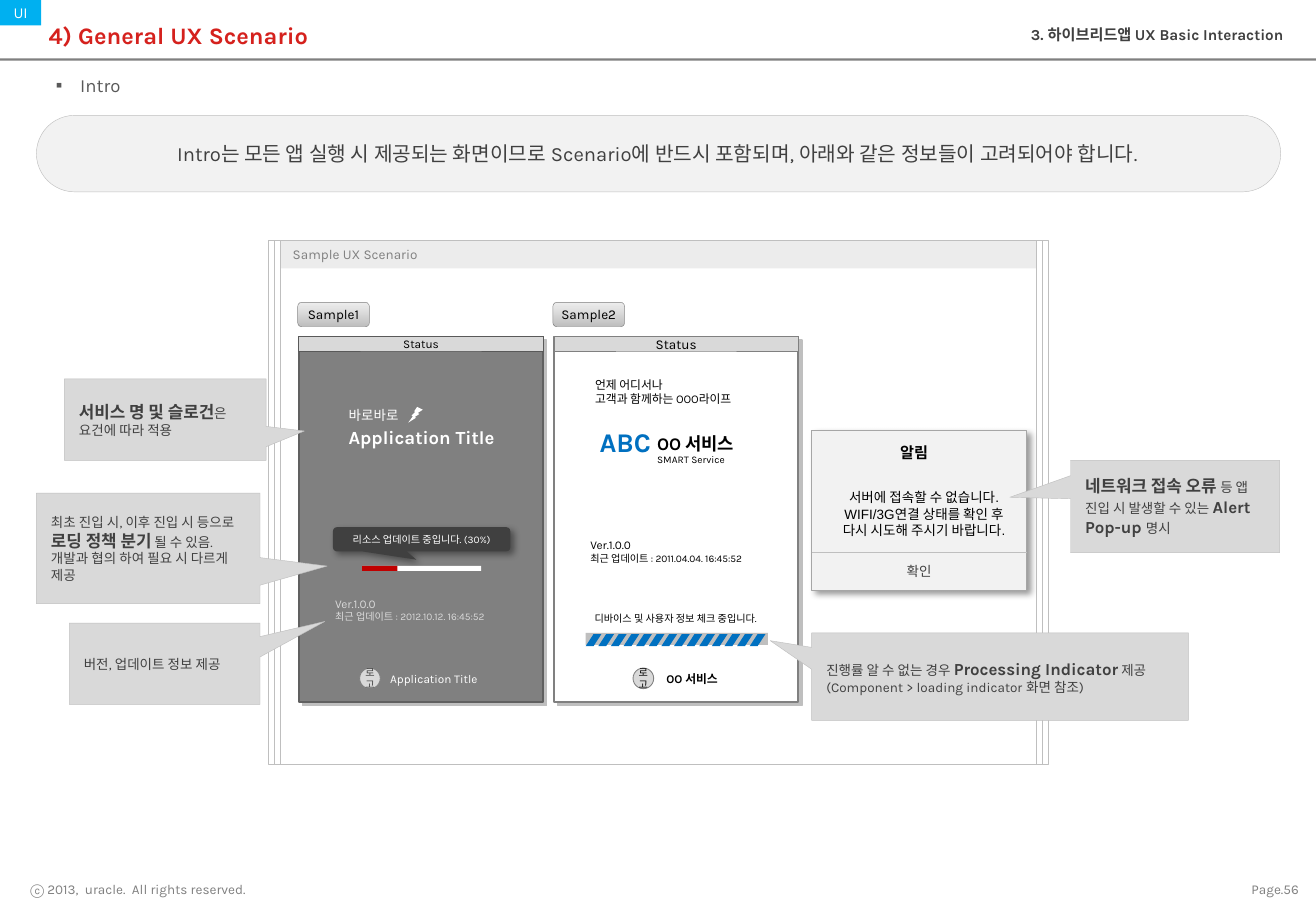
from dataclasses import dataclass

from lxml import etree
from pptx import Presentation
from pptx.dml.color import RGBColor
from pptx.enum.shapes import MSO_CONNECTOR, MSO_SHAPE
from pptx.enum.text import MSO_ANCHOR, MSO_AUTO_SIZE, PP_ALIGN
from pptx.oxml.ns import qn
from pptx.util import Inches, Pt

LEFT, CENTER, RIGHT = PP_ALIGN.LEFT, PP_ALIGN.CENTER, PP_ALIGN.RIGHT
TOP, MIDDLE = MSO_ANCHOR.TOP, MSO_ANCHOR.MIDDLE
RECTANGLE, ROUNDED, OVAL = MSO_SHAPE.RECTANGLE, MSO_SHAPE.ROUNDED_RECTANGLE, MSO_SHAPE.OVAL
CALLOUT, ROUNDED_CALLOUT = MSO_SHAPE.RECTANGULAR_CALLOUT, MSO_SHAPE.ROUNDED_RECTANGULAR_CALLOUT
BOLT, PARALLELOGRAM = MSO_SHAPE.LIGHTNING_BOLT, MSO_SHAPE.PARALLELOGRAM
STRAIGHT = MSO_CONNECTOR.STRAIGHT


@dataclass(frozen=True)
class Theme:
    font: str = "Karla"
    alert_font: str = "Arial"
    white: str = "FFFFFF"
    black: str = "000000"
    dark: str = "404040"
    text: str = "595959"
    edge: str = "606060"
    gray: str = "808080"
    outline: str = "A6A6A6"
    line: str = "BFBFBF"
    panel: str = "D9D9D9"
    header: str = "ECECEC"
    pale: str = "F2F2F2"
    button_low: str = "BDBDBD"
    button_high: str = "EEEEEE"
    title_red: str = "D5211D"
    bar_red: str = "C00000"
    blue: str = "0070C0"
    cyan: str = "00B0F0"
    brand: float = 16
    title: float = 14
    message: float = 12
    subtitle: float = 11
    service: float = 10.5
    strong: float = 10
    section: float = 9
    body: float = 8
    small: float = 7
    tiny: float = 6


THEME = Theme()
SOFT_SHADOW = (THEME.black, 40, 4)
HARD_SHADOW = (THEME.line, 100, 0)


@dataclass(frozen=True)
class Box:
    left: float
    top: float
    width: float
    height: float

    def inner(self, left, top, width, height):
        return Box(self.left + left, self.top + top, width, height)

    def lengths(self):
        return [Inches(value) for value in (self.left, self.top, self.width, self.height)]


def run(text, size=THEME.body, color=THEME.dark, bold=False, font=THEME.font):
    return text, size, color, bold, font


def write(shape, paragraphs, align=LEFT, anchor=TOP, insets=(0.1, 0.05)):
    frame = shape.text_frame
    frame.word_wrap = True
    frame.auto_size = MSO_AUTO_SIZE.NONE
    frame.vertical_anchor = anchor
    frame.margin_left = frame.margin_right = Inches(insets[0])
    frame.margin_top = frame.margin_bottom = Inches(insets[1])
    for index, runs in enumerate(paragraphs):
        paragraph = frame.paragraphs[0] if index == 0 else frame.add_paragraph()
        paragraph.alignment = align
        for text, size, color, bold, font in runs:
            piece = paragraph.add_run()
            piece.text = text
            piece.font.size = Pt(size)
            piece.font.bold = bold
            piece.font.name = font
            piece.font.color.rgb = RGBColor.from_string(color)


def add_text(slide, box, paragraphs, **layout):
    write(slide.shapes.add_textbox(*box.lengths()), paragraphs, **layout)


def add_shape(slide, box, kind=RECTANGLE, fill=None, line=None, weight=0.25, adjust=(), shadow=None):
    shape = slide.shapes.add_shape(kind, *box.lengths())
    for index, value in enumerate(adjust):
        shape.adjustments[index] = value
    if fill:
        shape.fill.solid()
        shape.fill.fore_color.rgb = RGBColor.from_string(fill)
    else:
        shape.fill.background()
    if line:
        shape.line.color.rgb = RGBColor.from_string(line)
        shape.line.width = Pt(weight)
    else:
        shape.line.fill.background()
    shape.shadow.inherit = False
    if shadow:
        color, opacity, blur = shadow
        effects = shape._element.spPr.find(qn("a:effectLst"))
        outer = etree.SubElement(effects, qn("a:outerShdw"), blurRad=str(Pt(blur)),
                                 dist=str(Pt(3)), dir="2700000", algn="tl", rotWithShape="0")
        tint = etree.SubElement(outer, qn("a:srgbClr"), val=color)
        etree.SubElement(tint, qn("a:alpha"), val=str(opacity * 1000))
    return shape


def fill_placeholder(placeholder, box, content, align=LEFT, anchor=MIDDLE, bullet=None):
    placeholder.left, placeholder.top, placeholder.width, placeholder.height = box.lengths()
    properties = placeholder.text_frame.paragraphs[0]._p.get_or_add_pPr()
    indent = Inches(0.2) if bullet else 0
    properties.set("marL", str(indent))
    properties.set("indent", str(-indent))
    if bullet:
        etree.SubElement(properties, qn("a:buFont"), typeface="Arial")
        etree.SubElement(properties, qn("a:buChar"), char=bullet)
    else:
        etree.SubElement(properties, qn("a:buNone"))
    write(placeholder, [[content]], align=align, anchor=anchor)
    placeholder.text_frame.paragraphs[0].space_before = Pt(0)


def draw_header(slide, box):
    add_shape(slide, box.inner(0, 0.48, box.width, 0.02), fill=THEME.gray)
    tag = add_shape(slide, box.inner(0, 0, 0.34, 0.21), fill=THEME.cyan)
    write(tag, [[run("UI", THEME.section, THEME.white)]], align=CENTER, anchor=MIDDLE, insets=(0, 0))
    fill_placeholder(slide.shapes.title, box.inner(0.3, 0.08, 6.5, 0.41),
                     run("4) General UX Scenario", THEME.title, THEME.title_red, True))
    fill_placeholder(slide.placeholders[1], box.inner(6.88, 0.16, 3.78, 0.28),
                     run("3. 하이브리드앱 UX Basic Interaction", THEME.section, bold=True), RIGHT, TOP)
    fill_placeholder(slide.placeholders[2], box.inner(0.36, 0.56, 9.39, 0.28),
                     run("Intro", THEME.subtitle, THEME.text), bullet="▪")


def draw_message(slide, box):
    pill = add_shape(slide, box, ROUNDED, THEME.pale, THEME.line, adjust=(0.5,))
    slide.shapes._spTree.insert(2, pill._element)
    message = "Intro는 모든 앱 실행 시 제공되는 화면이므로 Scenario에 반드시 포함되며, 아래와 같은 정보들이 고려되어야 합니다."
    fill_placeholder(slide.placeholders[3], box.inner(0.21, 0.08, 9.8, 0.47),
                     run(message, THEME.message), CENTER)


def draw_frame(slide, box):
    header = add_shape(slide, box.inner(0.1, 0, box.width - 0.2, 0.23), fill=THEME.header)
    write(header, [[run("Sample UX Scenario", color=THEME.gray)]], anchor=MIDDLE)
    for margin in (0, 0.05, 0.1):
        add_shape(slide, box.inner(margin, 0, box.width - 2 * margin, box.height), line=THEME.line)


def draw_phone(slide, box, label, fill, edge, status_edge, status_size):
    button = add_shape(slide, box.inner(-0.01, -0.28, 0.59, 0.2), ROUNDED, line=THEME.gray)
    button.fill.gradient()
    button.fill.gradient_angle = 90
    for stop, color in zip(button.fill.gradient_stops, (THEME.button_low, THEME.button_high)):
        stop.color.rgb = RGBColor.from_string(color)
    write(button, [[run(label, color=THEME.black)]], align=CENTER, anchor=MIDDLE, insets=(0, 0))
    add_shape(slide, box, fill=fill, line=edge, weight=1, shadow=HARD_SHADOW)
    status = add_shape(slide, box.inner(0, 0, box.width, 0.12), fill=THEME.panel, line=status_edge, weight=0.5)
    write(status, [[run("Status", status_size, THEME.black)]], align=CENTER, anchor=MIDDLE, insets=(0, 0))


def draw_version(slide, box, date, color):
    add_text(slide, box, [[run("Ver.1.0.0", THEME.small, color)],
                          [run("최근 업데이트 : " + date, THEME.tiny, color)]])


def draw_logo(slide, box, color):
    badge = add_shape(slide, box, OVAL, THEME.panel, THEME.gray, 0.5)
    write(badge, [[run("로고", THEME.tiny, color)]], align=CENTER, anchor=MIDDLE, insets=(0, 0))


def draw_progress_sample(slide, box):
    draw_phone(slide, box, "Sample1", THEME.gray, THEME.edge, THEME.text, THEME.small)
    flat = {"align": CENTER, "insets": (0, 0)}
    add_text(slide, box.inner(0.22, 0.58, 0.79, 0.13), [[run("바로바로", color=THEME.white)]], **flat)
    bolt = add_shape(slide, box.inner(0.9, 0.58, 0.12, 0.13), BOLT, THEME.white)
    bolt._element.spPr.xfrm.set("flipH", "1")
    add_text(slide, box.inner(0.29, 0.74, 1.44, 0.19),
             [[run("Application Title", THEME.subtitle, THEME.white, True)]], **flat)
    bubble = add_shape(slide, box.inner(0.28, 1.57, 1.46, 0.2), ROUNDED_CALLOUT, THEME.dark,
                       adjust=(-0.03, 0.84, 0.17), shadow=SOFT_SHADOW)
    write(bubble, [[run("리소스 업데이트 중입니다. (30%)", THEME.tiny, THEME.white)]], anchor=MIDDLE, **flat)
    for width, color in ((0.98, THEME.white), (0.29, THEME.bar_red)):
        add_shape(slide, box.inner(0.52, 1.89, width, 0.04), fill=color)
    draw_version(slide, box.inner(0.2, 2.09, 1.7, 0.32), "2012.10.12. 16:45:52", THEME.panel)
    draw_logo(slide, box.inner(0.5, 2.73, 0.17, 0.17), THEME.dark)
    add_text(slide, box.inner(0.7, 2.76, 0.82, 0.12),
             [[run("Application Title", THEME.small, THEME.white)]], **flat)


def draw_indicator_sample(slide, box):
    draw_phone(slide, box, "Sample2", THEME.white, THEME.gray, THEME.gray, THEME.body)
    slogan = ("언제 어디서나", "고객과 함께하는 OOO라이프")
    add_text(slide, box.inner(0.24, 0.29, 1.7, 0.34),
             [[run(text, THEME.small, THEME.black)] for text in slogan])
    add_text(slide, box.inner(0.24, 0.73, 0.69, 0.27),
             [[run("ABC", THEME.brand, THEME.blue, True)]], align=CENTER, insets=(0, 0))
    add_text(slide, box.inner(0.75, 0.74, 1.1, 0.39),
             [[run("OO 서비스", THEME.service, THEME.black, True)],
              [run("SMART Service", THEME.tiny, THEME.black)]])
    draw_version(slide, box.inner(0.2, 1.61, 1.75, 0.32), "2011.04.04. 16:45:52", THEME.black)
    add_text(slide, box.inner(0.03, 2.22, 1.94, 0.2),
             [[run("디바이스 및 사용자 정보 체크 중입니다.", THEME.tiny, THEME.black)]], align=CENTER)
    add_shape(slide, box.inner(0.26, 2.44, 1.5, 0.1), fill=THEME.line)
    for index in range(14):
        add_shape(slide, box.inner(0.26 + index * 1.35 / 13, 2.45, 0.13, 0.1),
                  PARALLELOGRAM, THEME.blue, adjust=(0.65,))
    draw_logo(slide, box.inner(0.65, 2.73, 0.17, 0.17), THEME.black)
    add_text(slide, box.inner(0.79, 2.76, 0.69, 0.12),
             [[run("OO 서비스", THEME.small, THEME.black, True)]], align=CENTER, insets=(0, 0))


def draw_alert(slide, box):
    add_shape(slide, box, fill=THEME.pale, line=THEME.outline, shadow=SOFT_SHADOW)
    add_text(slide, box.inner(0.63, 0.06, 0.6, 0.25), [[run("알림", THEME.section, THEME.black, True)]])
    lines = ("서버에 접속할 수 없습니다.", "WIFI/3G연결 상태를 확인 후", "다시 시도해 주시기 바랍니다.")
    add_text(slide, box.inner(0.08, 0.44, 1.69, 0.5),
             [[run(text, color=THEME.black, font=THEME.alert_font)] for text in lines], align=CENTER)
    divider = slide.shapes.add_connector(STRAIGHT, Inches(box.left), Inches(box.top + 1.01),
                                         Inches(box.left + box.width), Inches(box.top + 1.01))
    divider.line.color.rgb = RGBColor.from_string(THEME.line)
    divider.line.width = Pt(0.25)
    etree.SubElement(divider._element.spPr, qn("a:effectLst"))
    add_text(slide, box.inner(0.62, 1.05, 0.53, 0.24), [[run("확인")]], align=CENTER)


def draw_note(slide, box, pointer, paragraphs):
    note = add_shape(slide, box, CALLOUT, THEME.panel, THEME.line, adjust=pointer)
    write(note, paragraphs, anchor=MIDDLE, insets=(0.12, 0.05))


def strong(text):
    return run(text, THEME.strong, bold=True)


def draw_footer(slide, box):
    add_text(slide, box.inner(0.16, 0, 2.3, box.height),
             [[run("ⓒ 2013,  uracle.  All rights reserved.", color=THEME.gray)]], anchor=MIDDLE, insets=(0.09, 0.04))
    add_text(slide, box.inner(box.width - 1.05, 0, 1, box.height),
             [[run("Page.56", color=THEME.gray)]], align=RIGHT, anchor=MIDDLE, insets=(0.09, 0.04))


def main():
    presentation = Presentation()
    presentation.slide_width, presentation.slide_height = Inches(10.83), Inches(7.5)
    slide = presentation.slides.add_slide(presentation.slide_layouts[4])
    spare = slide.placeholders[4]._element
    spare.getparent().remove(spare)
    draw_header(slide, Box(0, 0, 10.83, 0.84))
    draw_message(slide, Box(0.3, 0.95, 10.24, 0.63))
    draw_frame(slide, Box(2.21, 1.98, 6.42, 4.31))
    draw_progress_sample(slide, Box(2.46, 2.77, 2.01, 3.01))
    draw_indicator_sample(slide, Box(4.56, 2.77, 2.01, 3.01))
    draw_alert(slide, Box(6.68, 3.54, 1.77, 1.32))
    notes = [
        (Box(0.53, 3.12, 1.66, 0.67), (0.69, 0.14),
         [[strong("서비스 명 및 슬로건"), run("은 요건에 따라 적용")]]),
        (Box(0.3, 4.06, 1.84, 0.91), (0.8, 0.16),
         [[run("최초 진입 시, 이후 진입 시 등으로 "), strong("로딩 정책 분기"),
           run(" 될 수 있음. 개발과 협의 하여 필요 시 다르게 제공")]]),
        (Box(0.57, 5.13, 1.57, 0.67), (0.84, -0.52), [[run("버전, 업데이트 정보 제공")]]),
        (Box(6.68, 5.21, 3.1, 0.72), (-0.61, -0.41),
         [[run("진행률 알 수 없는 경우 "), strong("Processing Indicator"), run(" 제공")],
          [run("(Component > loading indicator 화면 참조)")]]),
        (Box(8.81, 3.79, 1.72, 0.76), (-0.79, -0.1),
         [[strong("네트워크 접속 오류 "), run("등 앱 진입 시 발생할 수 있는 "),
           strong("Alert Pop-up "), run("명시")]]),
    ]
    for box, pointer, paragraphs in notes:
        draw_note(slide, box, pointer, paragraphs)
    draw_footer(slide, Box(0, 7.21, 10.83, 0.22))
    presentation.save("out.pptx")


if __name__ == "__main__":
    main()
